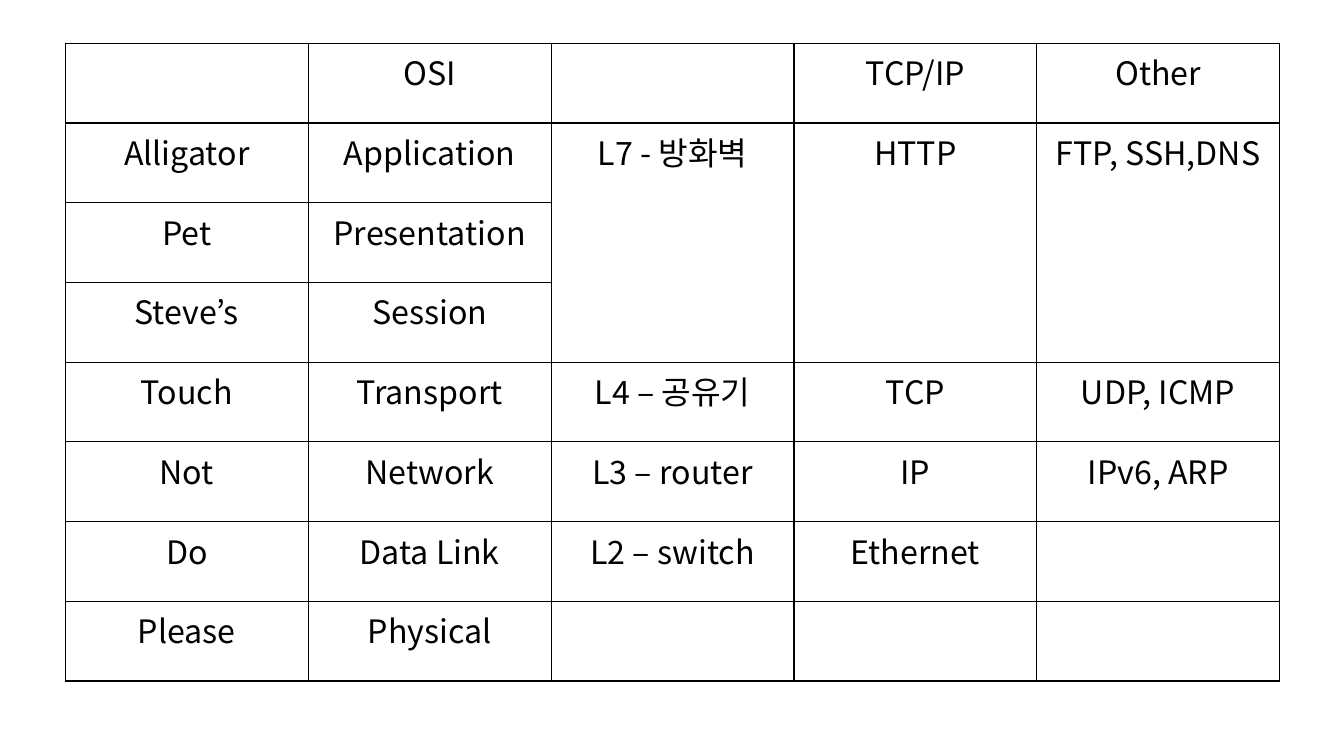
from dataclasses import dataclass

from lxml.etree import SubElement
from pptx import Presentation
from pptx.dml.color import RGBColor
from pptx.enum.text import PP_ALIGN
from pptx.oxml.ns import qn
from pptx.table import Table, _Cell
from pptx.util import Cm, Pt

BLACK = RGBColor(0x00, 0x00, 0x00)
FONT = "Noto Sans CJK KR"
COLUMN_WIDTH = Cm(6.12)
ROW_HEIGHT = Cm(2.01)


@dataclass(frozen=True)
class Layer:
    mnemonic: str
    osi: str
    device: str = ""
    tcp_ip: str = ""
    other: str = ""
    span: int = 1  # rows shared by device, tcp_ip and other

    def texts(self) -> tuple[str, ...]:
        return self.mnemonic, self.osi, self.device, self.tcp_ip, self.other


LAYERS = [
    Layer("", "OSI", "", "TCP/IP", "Other"),
    Layer("Alligator", "Application", "L7 - 방화벽", "HTTP", "FTP, SSH,DNS", span=3),
    Layer("Pet", "Presentation"),
    Layer("Steve’s", "Session"),
    Layer("Touch", "Transport", "L4 – 공유기", "TCP", "UDP, ICMP"),
    Layer("Not", "Network", "L3 – router", "IP", "IPv6, ARP"),
    Layer("Do", "Data Link", "L2 – switch", "Ethernet"),
    Layer("Please", "Physical"),
]
COLUMN_COUNT = len(LAYERS[0].texts())
FIRST_SHARED_COLUMN = 2


def write_text(cell: _Cell, text: str, *, size: float = 23,
               color: RGBColor = BLACK, align: PP_ALIGN = PP_ALIGN.CENTER) -> None:
    paragraph = cell.text_frame.paragraphs[0]
    paragraph.alignment = align
    run = paragraph.add_run()
    run.text = text
    run.font.size = Pt(size)
    run.font.name = FONT
    run.font.color.rgb = color
    # Korean letters take the East Asian typeface
    SubElement(run.font._element, qn("a:ea"), typeface=FONT)


def outline_cell(cell: _Cell, *, width: float = 1, color: RGBColor = BLACK) -> None:
    properties = cell._tc.get_or_add_tcPr()
    for side in ("lnL", "lnR", "lnT", "lnB"):
        border = SubElement(properties, qn(f"a:{side}"), w=str(Pt(width)))
        fill = SubElement(border, qn("a:solidFill"))
        SubElement(fill, qn("a:srgbClr"), val=str(color))
    cell.fill.background()


def fill_row(table: Table, row: int, layer: Layer) -> None:
    table.rows[row].height = ROW_HEIGHT
    for column, text in enumerate(layer.texts()):
        cell = table.cell(row, column)
        outline_cell(cell)
        if text:
            write_text(cell, text)
        if layer.span > 1 and column >= FIRST_SHARED_COLUMN:
            cell.merge(table.cell(row + layer.span - 1, column))


def main() -> None:
    presentation = Presentation()
    presentation.slide_width = Cm(33.87)
    presentation.slide_height = Cm(19.05)
    slide = presentation.slides.add_slide(presentation.slide_layouts[6])

    # Network layer table
    layer_table = slide.shapes.add_table(
        len(LAYERS), COLUMN_COUNT, Cm(1.65), Cm(1.09),
        COLUMN_WIDTH * COLUMN_COUNT, ROW_HEIGHT * len(LAYERS)).table
    layer_table.first_row = False
    layer_table.horz_banding = False
    for column in layer_table.columns:
        column.width = COLUMN_WIDTH
    for row, layer in enumerate(LAYERS):
        fill_row(layer_table, row, layer)

    presentation.save("out.pptx")


if __name__ == "__main__":
    main()
